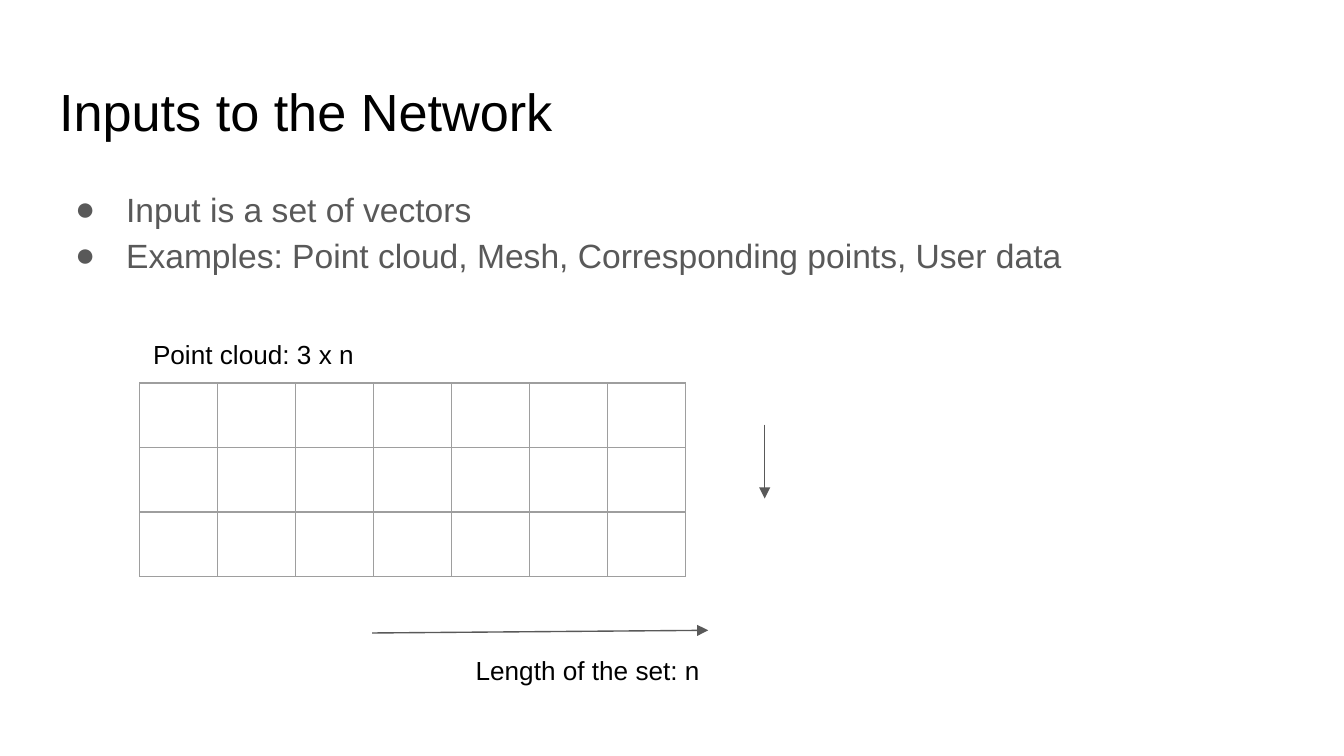
from lxml.etree import SubElement
from pptx import Presentation
from pptx.dml.color import RGBColor
from pptx.enum.shapes import MSO_CONNECTOR
from pptx.enum.text import MSO_ANCHOR, MSO_AUTO_SIZE, PP_ALIGN
from pptx.oxml import parse_xml
from pptx.oxml.ns import nsdecls, qn
from pptx.util import Inches, Pt

BLACK = RGBColor(0x00, 0x00, 0x00)
GRAY = RGBColor(0x59, 0x59, 0x59)
BORDER = RGBColor(0x9E, 0x9E, 0x9E)
ROWS, COLUMNS = 3, 7
COLUMN_WIDTH, ROW_HEIGHT = 0.58, 0.48


def place(box, left, top, width, height):
    box.left, box.top = Inches(left), Inches(top)
    box.width, box.height = Inches(width), Inches(height)
    frame = box.text_frame
    frame.word_wrap = True
    frame.auto_size = MSO_AUTO_SIZE.NONE
    frame.vertical_anchor = MSO_ANCHOR.TOP
    frame.margin_left = frame.margin_right = Inches(0.1)
    frame.margin_top = frame.margin_bottom = Inches(0.1)
    return frame


def write(para, text, size, color):
    para.alignment = PP_ALIGN.LEFT
    span = para.add_run()
    span.text = text
    span.font.name = "Arial"
    span.font.size = Pt(size)
    span.font.color.rgb = color


deck = Presentation()
deck.slide_width = Inches(10)
deck.slide_height = deck.slide_width * 9 // 16
page = deck.slides.add_slide(deck.slide_layouts[5])

title = place(page.shapes.title, 0.34, 0.49, 9.32, 0.63)
write(title.paragraphs[0], "Inputs to the Network", 28, BLACK)

body = place(page.shapes.add_textbox(0, 0, 0, 0), 0.34, 1.26, 9.32, 3.74)
points = [
    "Input is a set of vectors",
    "Examples: Point cloud, Mesh, Corresponding points, User data",
]
for index, point in enumerate(points):
    para = body.add_paragraph() if index else body.paragraphs[0]
    para.line_spacing = 1.15
    write(para, point, 18, GRAY)
    properties = para._p.get_or_add_pPr()
    properties.set("marL", str(Inches(0.5)))
    properties.set("indent", str(Inches(-0.38)))
    bullet_color = SubElement(properties, qn("a:buClr"))
    SubElement(bullet_color, qn("a:srgbClr"), val=str(GRAY))
    SubElement(properties, qn("a:buFont"), typeface="Arial")
    SubElement(properties, qn("a:buChar"), char="●")

labels = [
    ("Point cloud: 3 x n", 1.04, 2.42, 1.79, 0.43),
    ("Length of the set: n", 3.44, 4.77, 2.01, 0.55),
]
for text, *bounds in labels:
    label = place(page.shapes.add_textbox(0, 0, 0, 0), *bounds)
    write(label.paragraphs[0], text, 14, BLACK)

grid = page.shapes.add_table(
    ROWS, COLUMNS, Inches(1.04), Inches(2.85),
    Inches(COLUMNS * COLUMN_WIDTH), Inches(ROWS * ROW_HEIGHT),
).table
grid.first_row = grid.horz_banding = False
for column in grid.columns:
    column.width = Inches(COLUMN_WIDTH)
for row in grid.rows:
    row.height = Inches(ROW_HEIGHT)
for cell in grid.iter_cells():
    cell.fill.background()
    properties = cell._tc.get_or_add_tcPr()
    for position, side in enumerate(("lnL", "lnR", "lnT", "lnB")):
        properties.insert(position, parse_xml(
            f'<a:{side} {nsdecls("a")} w="{Pt(0.75)}"><a:solidFill>'
            f'<a:srgbClr val="{BORDER}"/></a:solidFill></a:{side}>'
        ))

arrows = [(5.69, 3.16, 5.69, 3.71), (2.77, 4.71, 5.27, 4.69)]
for ends in arrows:
    arrow = page.shapes.add_connector(
        MSO_CONNECTOR.STRAIGHT, *(Inches(value) for value in ends)
    )
    arrow.line.color.rgb = GRAY
    arrow.line.width = Pt(0.75)
    SubElement(arrow.line._get_or_add_ln(), qn("a:tailEnd"), type="triangle")
    SubElement(arrow._element.spPr, qn("a:effectLst"))

deck.save("out.pptx")
